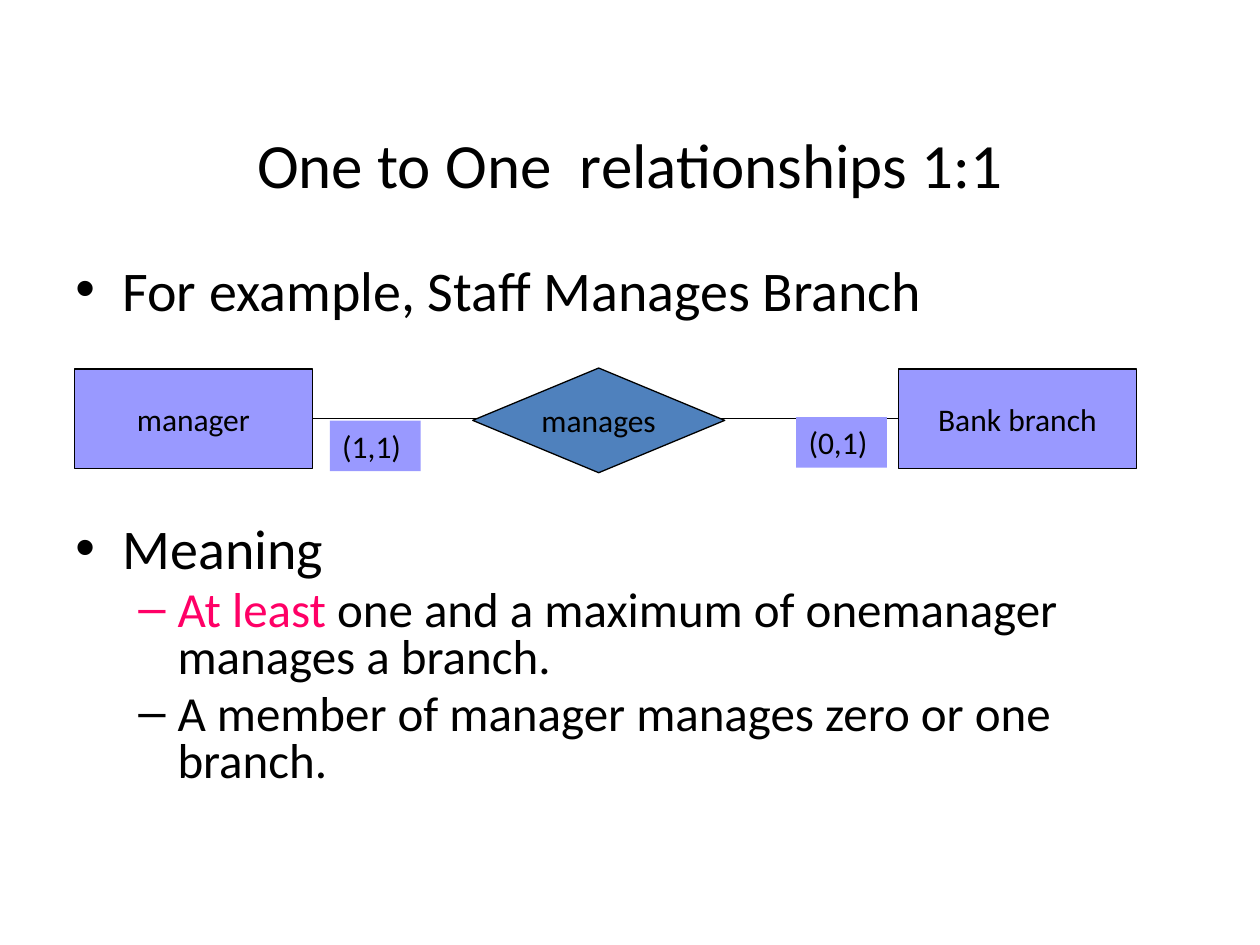
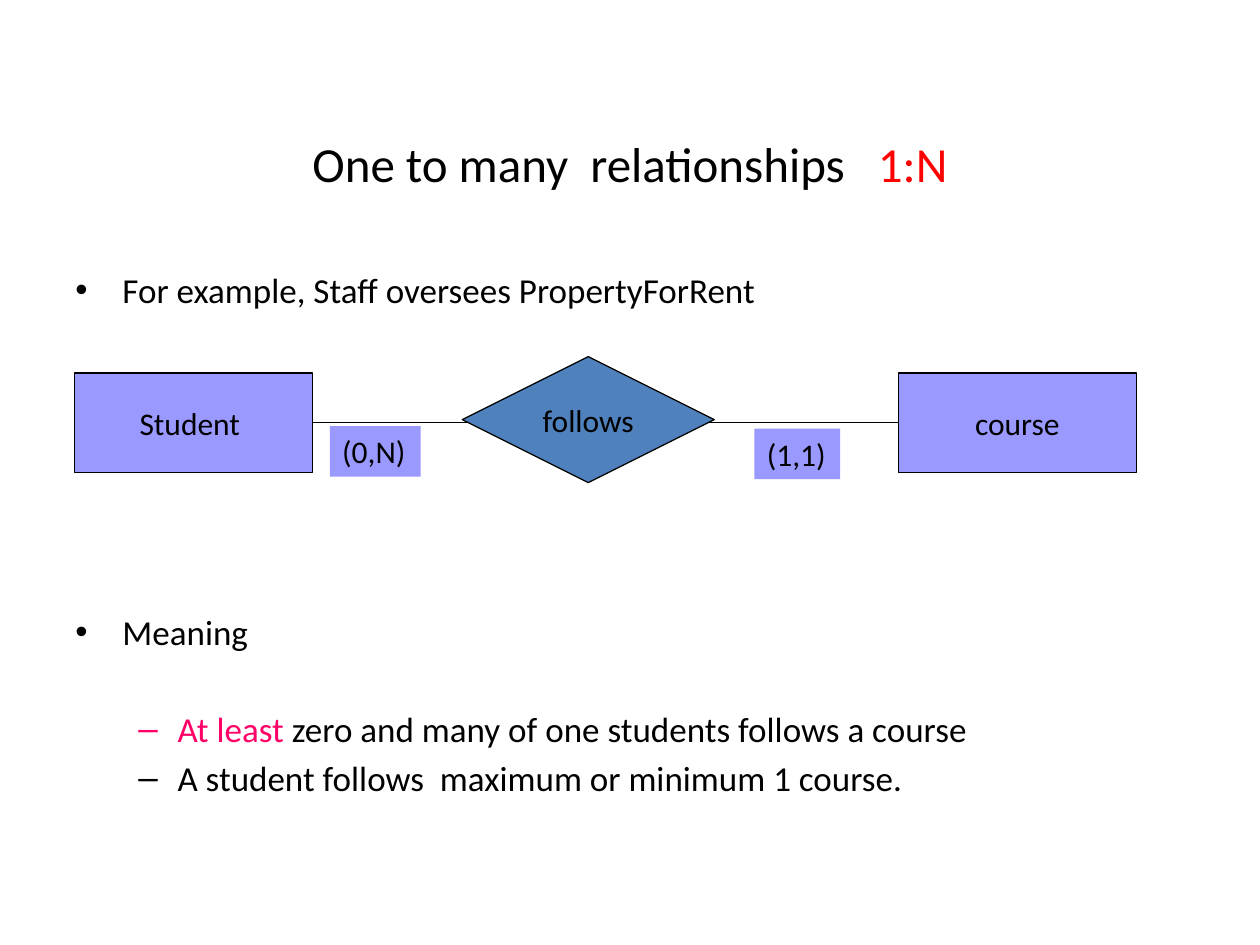
from lxml.etree import SubElement
from pptx import Presentation
from pptx.dml.color import RGBColor
from pptx.enum.shapes import MSO_CONNECTOR, MSO_SHAPE
from pptx.enum.text import MSO_ANCHOR as Anchor, MSO_AUTO_SIZE as AutoSize, PP_ALIGN as Align
from pptx.oxml.ns import qn
from pptx.util import Cm, Pt

BLACK, RED, PINK = "000000", "FF0000", "FF0066"
LILAC, BLUE = "9999FF", "4F81BD"
FONT = "Calibri"
LEVELS = [("•", 0.95, 0.95), ("–", 2.06, 0.79)]
TITLE_BOX = (1.27, 1.7, 22.86, 3.18)
BODY_BOX = (1.27, 5.28, 22.86, 11.73)
ENTITY_LEFTS, ENTITY_SIZE = (1.5, 18.11), (4.8, 2)

SLIDES = [
    {
        "title": [("One to One  relationships 1:1", BLACK)],
        "title_size": 36,
        "line_spacing": 0.8,
        "points": [
            (0, 32, 0, [("For example, Staff Manages Branch", BLACK)]),
            (0, 32, 117, [("Meaning", BLACK)]),
            (1, 28, 5.5, [("At least", PINK),
                          (" one and a maximum of onemanager manages a branch.", BLACK)]),
            (1, 28, 5.5, [("A member of manager manages zero or one branch.", BLACK)]),
        ],
        "entities": ["manager", "Bank branch"],
        "entity_top": 7.44,
        "cardinalities": [("(1,1)", (6.65, 8.48, 1.83, 1.02)),
                          ("(0,1)", (16.05, 8.41, 1.83, 1.02))],
        "relationship": ("manages", (9.53, 7.42, 5.08, 2.11)),
    },
    {
        "title": [("One to many  relationships   ", BLACK), ("1:N", RED)],
        "title_size": 28,
        "line_spacing": 1,
        "points": [
            (0, 20, 0, [("For example, Staff oversees PropertyForRent", BLACK)]),
            (0, 20, 171.6, [("Meaning", BLACK)]),
            (1, 20, 31.6, [("At least", PINK),
                           (" zero and many of one students follows a course", BLACK)]),
            (1, 20, 3.6, [("A student follows  maximum or minimum 1 course.", BLACK)]),
        ],
        "entities": ["Student ", "course"],
        "entity_top": 7.52,
        "cardinalities": [("(0,N)", (6.65, 8.59, 1.83, 1.02)),
                          ("(1,1)", (15.21, 8.64, 1.73, 1.02))],
        "relationship": ("follows", (9.32, 7.19, 5.08, 2.54)),
    },
]


def rgb(code):
    return RGBColor.from_string(code)


def write(paragraph, runs, size=18, align=Align.LEFT, spacing=1, before=0, level=None):
    paragraph.alignment = align
    paragraph.line_spacing = spacing
    paragraph.space_before = Pt(before)
    if level is not None:
        bullet, margin, hanging = LEVELS[level]
        paragraph.level = level
        properties = paragraph._p.get_or_add_pPr()
        properties.set("marL", str(Cm(margin)))
        properties.set("indent", str(-Cm(hanging)))
        SubElement(properties, qn("a:buFont")).set("typeface", "Arial")
        SubElement(properties, qn("a:buChar")).set("char", bullet)
    for words, color in runs:
        run = paragraph.add_run()
        run.text = words
        run.font.name, run.font.size = FONT, Pt(size)
        run.font.color.rgb = rgb(color)


def add_frame(slide, box, anchor):
    frame = slide.shapes.add_textbox(*map(Cm, box)).text_frame
    frame.word_wrap = True
    frame.auto_size = AutoSize.NONE
    frame.vertical_anchor = anchor
    return frame


def add_part(slide, preset, box, label, fill=LILAC, outlined=True):
    part = slide.shapes.add_shape(preset, *map(Cm, box))
    part.shadow.inherit = False
    part.fill.solid()
    part.fill.fore_color.rgb = rgb(fill)
    if outlined:
        part.line.color.rgb = rgb(BLACK)
        part.line.width = Pt(0.75)
    else:
        part.line.fill.background()
    frame = part.text_frame
    frame.word_wrap = False
    frame.auto_size = AutoSize.NONE if outlined else AutoSize.SHAPE_TO_FIT_TEXT
    frame.vertical_anchor = Anchor.MIDDLE if outlined else Anchor.TOP
    write(frame.paragraphs[0], [(label, BLACK)], align=Align.CENTER if outlined else Align.LEFT)
    return part


def add_link(slide, start, end):
    link = slide.shapes.add_connector(MSO_CONNECTOR.STRAIGHT, 0, 0, 0, 0)
    link.begin_connect(start, 3)
    link.end_connect(end, 1)
    link.line.color.rgb = rgb(BLACK)
    link.line.width = Pt(0.75)
    SubElement(link._element.spPr, qn("a:effectLst"))


def add_diagram(slide, content):
    entities = [add_part(slide, MSO_SHAPE.RECTANGLE,
                         (left, content["entity_top"], *ENTITY_SIZE), name)
                for left, name in zip(ENTITY_LEFTS, content["entities"])]
    add_link(slide, *entities)
    for cardinality, box in content["cardinalities"]:
        add_part(slide, MSO_SHAPE.RECTANGLE, box, cardinality, outlined=False)
    verb, box = content["relationship"]
    add_part(slide, MSO_SHAPE.DIAMOND, box, verb, fill=BLUE)


def add_slide(deck, content):
    slide = deck.slides.add_slide(deck.slide_layouts[6])
    title = add_frame(slide, TITLE_BOX, Anchor.MIDDLE)
    write(title.paragraphs[0], content["title"], size=content["title_size"], align=Align.CENTER)
    body = add_frame(slide, BODY_BOX, Anchor.TOP)
    for index, (level, size, before, runs) in enumerate(content["points"]):
        paragraph = body.add_paragraph() if index else body.paragraphs[0]
        write(paragraph, runs, size=size, spacing=content["line_spacing"],
              before=before, level=level)
    add_diagram(slide, content)


def main():
    """Build the slides on one-to-one and one-to-many relationships."""
    deck = Presentation()
    deck.slide_width, deck.slide_height = Cm(25.4), Cm(19.05)
    for content in SLIDES:
        add_slide(deck, content)
    deck.save("out.pptx")


if __name__ == "__main__":
    main()
